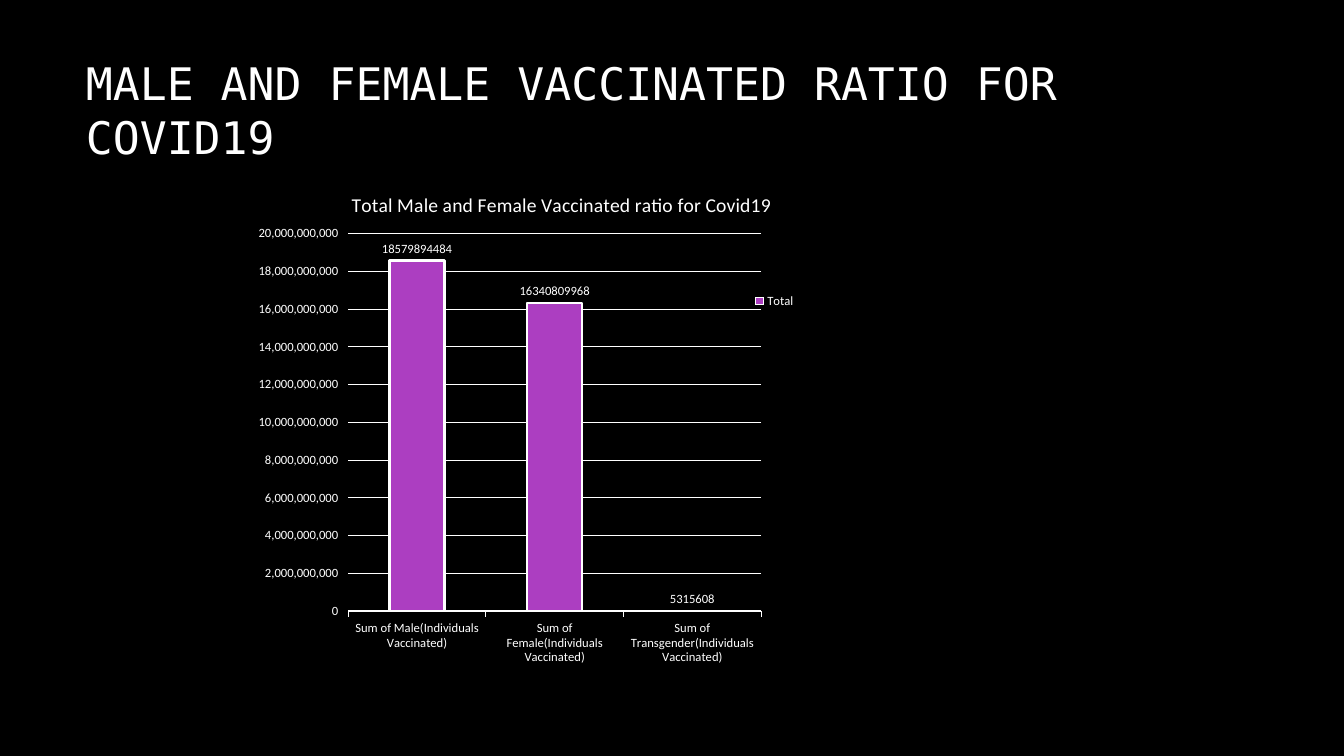
from dataclasses import dataclass

from pptx import Presentation
from pptx import util as u
from pptx.chart.data import CategoryChartData
from pptx.dml.color import RGBColor
from pptx.enum import chart as ch, text
from pptx.oxml import parse_xml
from pptx.oxml.ns import nsdecls, qn


@dataclass(frozen=True)
class Theme:
    back: str = "000000"
    ink: str = "FFFFFF"
    bar: str = "AC3EC1"
    mono: str = "DejaVu Sans Mono"
    sans: str = "Calibri"
    head: int = 32
    title: int = 14
    label: int = 9


class Deck:
    def __init__(self, theme):
        self.theme = theme
        self.prs = Presentation()
        self.prs.slide_width = u.Cm(33.87)
        self.prs.slide_height = u.Cm(19.05)
        self.slide = None

    def add(self):
        self.slide = self.prs.slides.add_slide(self.prs.slide_layouts[5])
        self.paint(self.slide.background.fill, self.theme.back)

    def paint(self, fill, color):
        fill.solid()
        fill.fore_color.rgb = RGBColor.from_string(color)

    def stroke(self, line, width):
        self.paint(line.fill, self.theme.ink)
        line.width = u.Pt(width)

    def style(self, font, size, name):
        font.size = u.Pt(size)
        font.name = name
        font.bold = False
        font.color.rgb = RGBColor.from_string(self.theme.ink)

    def place(self, part, after, **spots):
        """Set a manual layout on a chart part, as fractions of the chart."""
        for old in part.findall(qn("c:layout")):
            part.remove(old)
        inner = '<c:layoutTarget val="inner"/>' if "w" in spots else ""
        modes = "".join(f'<c:{k}Mode val="edge"/>' for k in "xy")
        sizes = "".join(f'<c:{k} val="{v}"/>' for k, v in spots.items())
        layout = parse_xml(
            f'<c:layout {nsdecls("c")}><c:manualLayout>'
            f"{inner}{modes}{sizes}</c:manualLayout></c:layout>")
        if after:
            part.find(qn(after)).addnext(layout)
        else:
            part.insert(0, layout)

    def title(self, words, *box):
        shape = self.slide.shapes.title
        shape.left, shape.top, shape.width, shape.height = map(u.Cm, box)
        frame = shape.text_frame
        frame.word_wrap = True
        frame.auto_size = text.MSO_AUTO_SIZE.NONE
        frame.vertical_anchor = text.MSO_ANCHOR.MIDDLE
        para = frame.paragraphs[0]
        para.alignment = text.PP_ALIGN.LEFT
        run = para.add_run()
        run.text = words
        self.style(run.font, self.theme.head, self.theme.mono)

    def chart(self, words, name, values, *box):
        t = self.theme
        data = CategoryChartData()
        data.categories = list(values)
        data.add_series(name, list(values.values()))
        chart = self.slide.shapes.add_chart(
            ch.XL_CHART_TYPE.COLUMN_CLUSTERED, *map(u.Cm, box), data).chart
        self.style(chart.font, 10, t.sans)

        # Chart title
        chart.has_title = True
        head = chart.chart_title
        run = head.text_frame.paragraphs[0].add_run()
        run.text = words
        self.style(run.font, t.title, t.sans)
        self.place(head._element, "c:tx", x=0.27, y=0.04)

        # Legend
        chart.has_legend = True
        key = chart.legend
        key.position = ch.XL_LEGEND_POSITION.RIGHT
        key.include_in_layout = False
        self.style(key.font, t.label, t.sans)
        self.place(key._element, "c:legendPos", x=0.7, y=0.24)

        # Axes
        cats, vals = chart.category_axis, chart.value_axis
        for axis in (cats, vals):
            axis.major_tick_mark = ch.XL_TICK_MARK.OUTSIDE
            self.style(axis.tick_labels.font, t.label, t.sans)
        self.stroke(cats.format.line, 0.75)
        vals.format.line.fill.background()
        vals.minimum_scale, vals.maximum_scale = 0, 20e9
        vals.major_unit = 2e9
        vals.tick_labels.number_format = "#,##0"
        vals.tick_labels.number_format_is_linked = False
        vals.has_major_gridlines = True
        self.stroke(vals.major_gridlines.format.line, 0.75)

        # Columns and their labels
        plot = chart.plots[0]
        plot.gap_width = 150
        plot.vary_by_categories = False
        bars = plot.series[0]
        self.paint(bars.format.fill, t.bar)
        self.stroke(bars.format.line, 1.5)
        labels = bars.data_labels
        labels.show_value = True
        labels.position = ch.XL_LABEL_POSITION.OUTSIDE_END
        self.style(labels.font, t.label, t.sans)
        area = chart._chartSpace.chart.plotArea
        self.place(area, None, x=0.27, y=0.13, w=0.44, h=0.74)


def main():
    deck = Deck(Theme())
    deck.add()
    deck.title("MALE AND FEMALE VACCINATED RATIO FOR COVID19",
               1.91, 1.7, 26.82, 2.11)
    doses = {
        "Sum of Male(Individuals Vaccinated)": 18579894484,
        "Sum of Female(Individuals Vaccinated)": 16340809968,
        "Sum of Transgender(Individuals Vaccinated)": 5315608,
    }
    deck.chart("Total Male and Female Vaccinated ratio for Covid19",
               "Total", doses, 2.39, 4.22, 23.65, 12.85)
    deck.prs.save("out.pptx")


if __name__ == "__main__":
    main()
